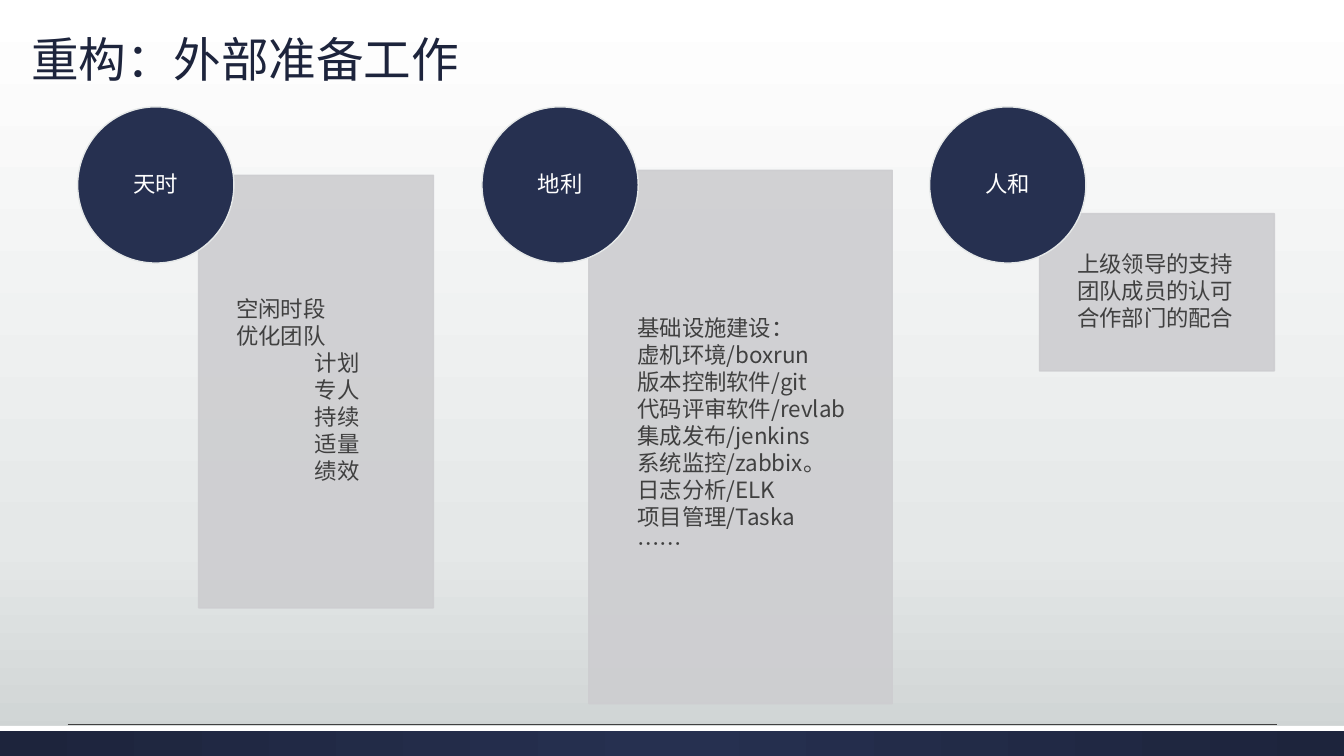
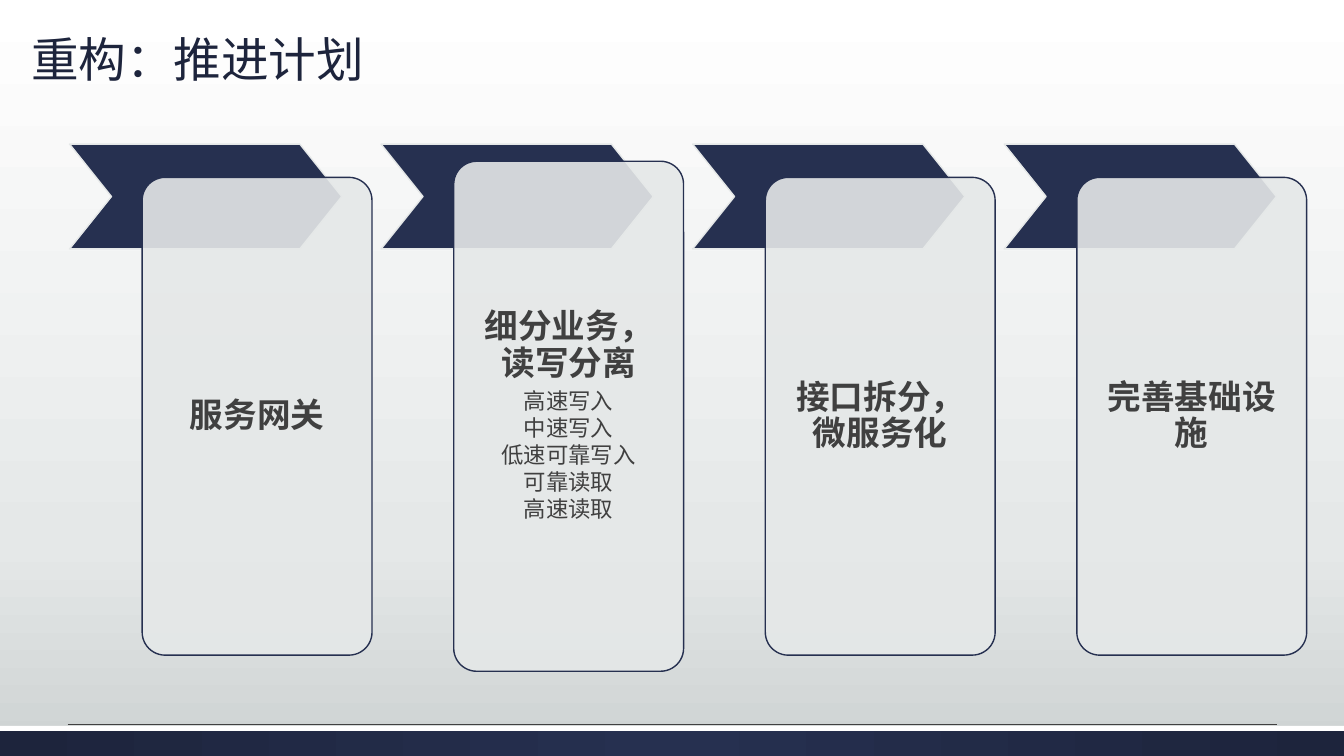
from dataclasses import dataclass
from lxml.etree import SubElement
from pptx import Presentation
from pptx.dml.color import RGBColor
from pptx.enum.shapes import MSO_CONNECTOR, MSO_SHAPE
from pptx.enum.text import MSO_ANCHOR, PP_ALIGN
from pptx.oxml.ns import qn
from pptx.util import Inches, Pt


@dataclass(frozen=True)
class Theme:
    navy: str = "263050"
    midnight: str = "1D243C"
    mist: str = "E5E8E8"
    fog: str = "CDD2D2"
    panel: str = "CDCDD0"
    white: str = "FFFFFF"
    text: str = "404040"
    body_font: str = "Noto Sans CJK SC"
    heading_font: str = "Cabin"
    title_size: int = 34
    heading_size: int = 24
    body_size: int = 16
    alpha: str = "90000"


theme = Theme()


def add_block(slide, kind, box, fill, line=None, see_through=False):
    shape = slide.shapes.add_shape(kind, *map(Inches, box))
    shape.shadow.inherit = False
    shape.fill.solid()
    shape.fill.fore_color.rgb = RGBColor.from_string(fill)
    if line:
        shape.line.color.rgb = RGBColor.from_string(line)
        shape.line.width = Pt(1)
    else:
        shape.line.fill.background()
    if see_through:
        for color in shape.element.spPr.iter(qn("a:srgbClr")):
            if color.get("val") == fill:
                SubElement(color, qn("a:alpha"), val=theme.alpha)
    return shape


def write(shape, lines, color, align=PP_ALIGN.LEFT, anchor=MSO_ANCHOR.MIDDLE,
          margins=(0, 0, 0, 0), size=theme.body_size, heading=False):
    frame = shape.text_frame
    frame.word_wrap = True
    frame.vertical_anchor = anchor
    (frame.margin_left, frame.margin_top,
     frame.margin_right, frame.margin_bottom) = map(Inches, margins)
    for index, line in enumerate(lines):
        paragraph = frame.paragraphs[0] if index == 0 else frame.add_paragraph()
        paragraph.text = line
        paragraph.alignment = align
        paragraph.line_spacing = 0.9
        is_heading = heading and index == 0
        paragraph.space_after = Pt(6 if is_heading else 2)
        font = paragraph.font
        font.size = Pt(theme.heading_size if is_heading else size)
        font.bold = is_heading
        font.color.rgb = RGBColor.from_string(color)
        font.name = theme.heading_font if is_heading else theme.body_font
        SubElement(paragraph._p.pPr.find(qn("a:defRPr")), qn("a:ea"), typeface=font.name)


presentation = Presentation()
presentation.slide_width = Inches(13.33)
presentation.slide_height = Inches(7.5)
blank = presentation.slide_layouts[6]
master = presentation.slide_master

slides = []
for title in ("重构：外部准备工作", "重构：推进计划"):
    slide = presentation.slides.add_slide(blank)
    title_box = slide.shapes.add_textbox(*map(Inches, (0.21, 0.21, 12.84, 0.71)))
    write(title_box, [title], theme.midnight, anchor=MSO_ANCHOR.BOTTOM,
          margins=(0.1, 0.05, 0.1, 0.05), size=theme.title_size)
    slides.append(slide)
preparation, plan = slides

footer = add_block(preparation, MSO_SHAPE.RECTANGLE, (0, 7.2, 13.33, 0.3), theme.navy)
stripe = add_block(preparation, MSO_SHAPE.RECTANGLE, (0, 7.2, 13.33, 0.05), theme.white)
rule = preparation.shapes.add_connector(
    MSO_CONNECTOR.STRAIGHT, Inches(0.67), Inches(7.19), Inches(12.67), Inches(7.19))
rule.line.color.rgb = RGBColor.from_string(theme.text)
rule.line.width = Pt(0.75)
SubElement(rule.element.spPr, qn("a:effectLst"))

gradients = (
    (master.element, master.background.fill, 270,
     ((0, theme.white), (72, theme.mist), (100, theme.fog))),
    (footer.element, footer.fill, 0,
     ((0, theme.midnight), (50, theme.navy), (100, theme.midnight))),
)
for element, fill, angle, stops in gradients:
    fill.gradient()
    fill.gradient_angle = angle
    stop_list = next(element.iter(qn("a:gsLst")))
    for stop in list(stop_list):
        stop_list.remove(stop)
    for position, color in stops:
        stop = SubElement(stop_list, qn("a:gs"), pos=str(position * 1000))
        SubElement(stop, qn("a:srgbClr"), val=color)

for shape_id, shape in enumerate((footer, stripe, rule), start=20):
    next(shape.element.iter(qn("p:cNvPr"))).set("id", str(shape_id))
    master.element.cSld.spTree.append(shape.element)

conditions = (
    ("天时", 0.77, (1.97, 1.74, 2.33, 4.29),
     ["空闲时段", "优化团队", "计划", "专人", "持续", "适量", "绩效"]),
    ("地利", 4.78, (5.84, 1.69, 3.01, 5.29),
     ["基础设施建设：", "虚机环境/boxrun", "版本控制软件/git", "代码评审软件/revlab",
      "集成发布/jenkins", "系统监控/zabbix。", "日志分析/ELK", "项目管理/Taska", "……"]),
    ("人和", 9.22, (10.31, 2.12, 2.33, 1.56),
     ["上级领导的支持", "团队成员的认可", "合作部门的配合"]),
)
for name, circle_left, box, lines in conditions:
    panel = add_block(preparation, MSO_SHAPE.RECTANGLE, box,
                      theme.panel, theme.panel, see_through=True)
    write(panel, lines, theme.text, margins=(0.16 * box[2], 0.12, 0.12, 0.12))
    if name == "天时":
        for paragraph in panel.text_frame.paragraphs[2:]:
            paragraph._p.pPr.set("marL", str(Inches(0.78)))
    circle = add_block(preparation, MSO_SHAPE.OVAL, (circle_left, 1.06, 1.55, 1.55),
                       theme.navy, theme.mist)
    write(circle, [name], theme.white, PP_ALIGN.CENTER)

steps = (
    ["服务网关"],
    ["细分业务，读写分离", "高速写入", "中速写入", "低速可靠写入", "可靠读取", "高速读取"],
    ["接口拆分，微服务化"],
    ["完善基础设施"],
)
card_middle = 4.13
for index, lines in enumerate(steps):
    left = 0.69 + 3.09 * index
    height = 5.06 if len(lines) > 1 else 4.74
    chevron = add_block(plan, MSO_SHAPE.CHEVRON, (left, 1.43, 2.7, 1.04),
                        theme.navy, theme.mist)
    chevron.adjustments[0] = 0.4
    card = add_block(plan, MSO_SHAPE.ROUNDED_RECTANGLE,
                     (left + 0.72, card_middle - height / 2, 2.28, height),
                     theme.mist, theme.navy, see_through=True)
    card.adjustments[0] = 0.1
    write(card, lines, theme.text, PP_ALIGN.CENTER, margins=(0.19,) * 4, heading=True)

presentation.save("out.pptx")
